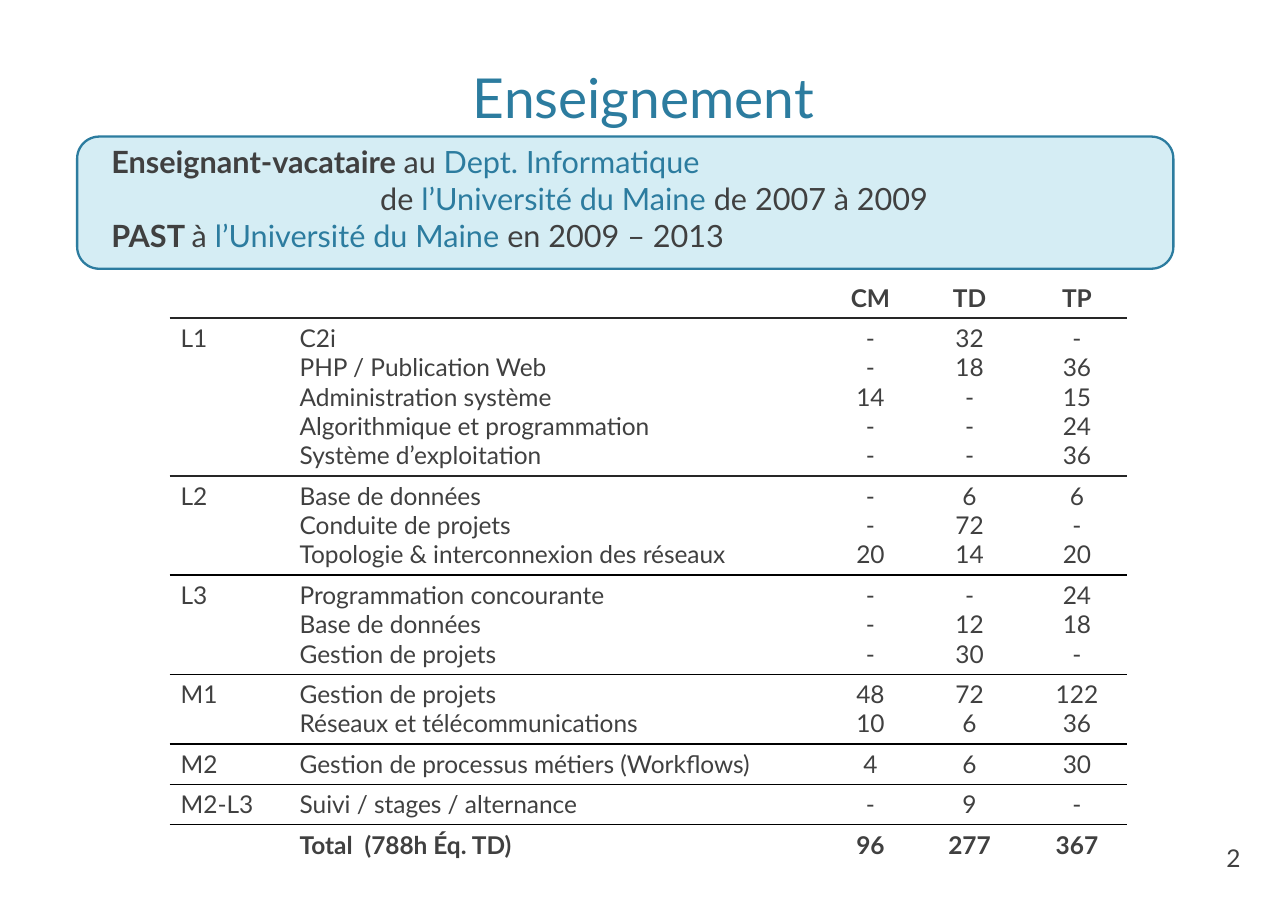
from lxml.etree import SubElement
from pptx import Presentation
from pptx.dml.color import RGBColor
from pptx.enum.shapes import MSO_SHAPE
from pptx.enum.text import MSO_ANCHOR, PP_ALIGN
from pptx.oxml.ns import qn
from pptx.util import Inches, Pt

TEAL = RGBColor(0x2C, 0x7C, 0x9F)
PALE_BLUE = RGBColor(0xD5, 0xED, 0xF4)
GREY = RGBColor(0x40, 0x40, 0x40)
RULE_GREY = RGBColor(0x26, 0x26, 0x26)
BLACK = RGBColor(0, 0, 0)

COLUMN_WIDTHS = (1.08, 4.9, 0.76, 1.04, 0.91)
TABLE_SIZE = 16
LINE_HEIGHT = TABLE_SIZE * 1.2 / 72
ROW_PADDING = 0.1

HEADER = ("", [("", "CM", "TD", "TP")])
LEVELS = [
    ("L1", [
        ("C2i", "-", "32", "-"),
        ("PHP / Publication Web", "-", "18", "36"),
        ("Administration système", "14", "-", "15"),
        ("Algorithmique et programmation", "-", "-", "24"),
        ("Système d’exploitation", "-", "-", "36"),
    ]),
    ("L2", [
        ("Base de données", "-", "6", "6"),
        ("Conduite de projets", "-", "72", "-"),
        ("Topologie & interconnexion des réseaux", "20", "14", "20"),
    ]),
    ("L3", [
        ("Programmation concourante", "-", "-", "24"),
        ("Base de données", "-", "12", "18"),
        ("Gestion de projets", "-", "30", "-"),
    ]),
    ("M1", [
        ("Gestion de projets", "48", "72", "122"),
        ("Réseaux et télécommunications", "10", "6", "36"),
    ]),
    ("M2", [("Gestion de processus métiers (Workflows)", "4", "6", "30")]),
    ("M2-L3", [("Suivi / stages / alternance", "-", "9", "-")]),
]
TOTAL = ("", [("Total  (788h Éq. TD)", "96", "277", "367")])

POSTS = [
    (0, [("Enseignant-vacataire ", GREY, True), ("au ", GREY, False),
         ("Dept. Informatique", TEAL, False)]),
    (2.44, [("de ", GREY, False), ("l’Université du Maine ", TEAL, False),
            ("de 2007 à 2009", GREY, False)]),
    (0, [("PAST ", GREY, True), ("à ", GREY, False),
         ("l’Université du Maine ", TEAL, False), ("en 2009 – 2013", GREY, False)]),
]


class SlideBuilder:
    def __init__(self, deck, font):
        self.font = font
        self.slide = deck.slides.add_slide(deck.slide_layouts[6])

    def run(self, para, text, size, color=GREY, bold=False):
        span = para.add_run()
        span.text = text
        span.font.name = self.font
        span.font.size = Pt(size)
        span.font.bold = bold
        span.font.color.rgb = color

    def panel(self, left, top, width, height):
        shape = self.slide.shapes.add_shape(
            MSO_SHAPE.ROUNDED_RECTANGLE,
            Inches(left), Inches(top), Inches(width), Inches(height))
        shape.shadow.inherit = False
        shape.fill.solid()
        shape.fill.fore_color.rgb = PALE_BLUE
        shape.line.color.rgb = TEAL
        shape.line.width = Pt(1.5)

    def text(self, left, top, width, height, lines, size,
             align=PP_ALIGN.LEFT, anchor=MSO_ANCHOR.TOP):
        box = self.slide.shapes.add_textbox(
            Inches(left), Inches(top), Inches(width), Inches(height))
        frame = box.text_frame
        frame.word_wrap = True
        frame.vertical_anchor = anchor
        frame.margin_left = frame.margin_right = Inches(0.11)
        frame.margin_top = frame.margin_bottom = Inches(0.06)
        for index, (indent, spans) in enumerate(lines):
            para = frame.add_paragraph() if index else frame.paragraphs[0]
            para.alignment = align
            if indent:
                para._p.get_or_add_pPr().set("marL", str(Inches(indent)))
            for content, color, bold in spans:
                self.run(para, content, size, color, bold)

    def borders(self, cell, top, bottom):
        props = cell._tc.get_or_add_tcPr()
        sides = (("lnL", None), ("lnR", None), ("lnT", top), ("lnB", bottom))
        for position, (side, color) in enumerate(sides):
            line = SubElement(props, qn(f"a:{side}"), w=str(Pt(1)))
            props.insert(position, line)
            if color is None:
                SubElement(line, qn("a:noFill"))
            else:
                fill = SubElement(line, qn("a:solidFill"))
                SubElement(fill, qn("a:srgbClr"), val=str(color))

    def cell(self, cell, lines, align, bold):
        cell.fill.background()
        for index, content in enumerate(lines):
            frame = cell.text_frame
            para = frame.add_paragraph() if index else frame.paragraphs[0]
            para.alignment = align
            if content:
                self.run(para, content, TABLE_SIZE, bold=bold)
            else:
                SubElement(para._p, qn("a:endParaRPr"), sz=str(TABLE_SIZE * 100))

    def table(self, left, top, groups):
        heights = [ROW_PADDING + len(courses) * LINE_HEIGHT for _, courses in groups]
        table = self.slide.shapes.add_table(
            len(groups), len(COLUMN_WIDTHS), Inches(left), Inches(top),
            Inches(sum(COLUMN_WIDTHS)), Inches(sum(heights))).table
        table.first_row = table.horz_banding = False
        for column, width in zip(table.columns, COLUMN_WIDTHS):
            column.width = Inches(width)
        last = len(groups) - 1
        rules = [None] + [RULE_GREY] * 2 + [BLACK] * (last - 2) + [None]
        for row, (level, courses) in enumerate(groups):
            table.rows[row].height = Inches(heights[row])
            for column, lines in enumerate([(level,), *zip(*courses)]):
                cell = table.cell(row, column)
                align = PP_ALIGN.CENTER if column > 1 else PP_ALIGN.LEFT
                self.cell(cell, lines, align, row in (0, last))
                self.borders(cell, rules[row], rules[row + 1])


def main():
    deck = Presentation()
    deck.slide_width = Inches(11.69)
    deck.slide_height = Inches(8.27)
    page = SlideBuilder(deck, "Lato")
    page.panel(0.7, 1.24, 9.95, 1.2)
    page.text(0.7, 0, 10.28, 1.24, [(0, [("Enseignement", TEAL, False)])], 36,
              PP_ALIGN.CENTER, MSO_ANCHOR.BOTTOM)
    page.text(0.9, 1.24, 9.32, 1.2, POSTS, 20)
    page.table(1.54, 2.52, [HEADER, *LEVELS, TOTAL])
    page.text(10.1, 7.57, 1.27, 0.44, [(0, [("2", GREY, False)])], 16,
              PP_ALIGN.RIGHT, MSO_ANCHOR.MIDDLE)
    deck.save("out.pptx")


if __name__ == "__main__":
    main()
